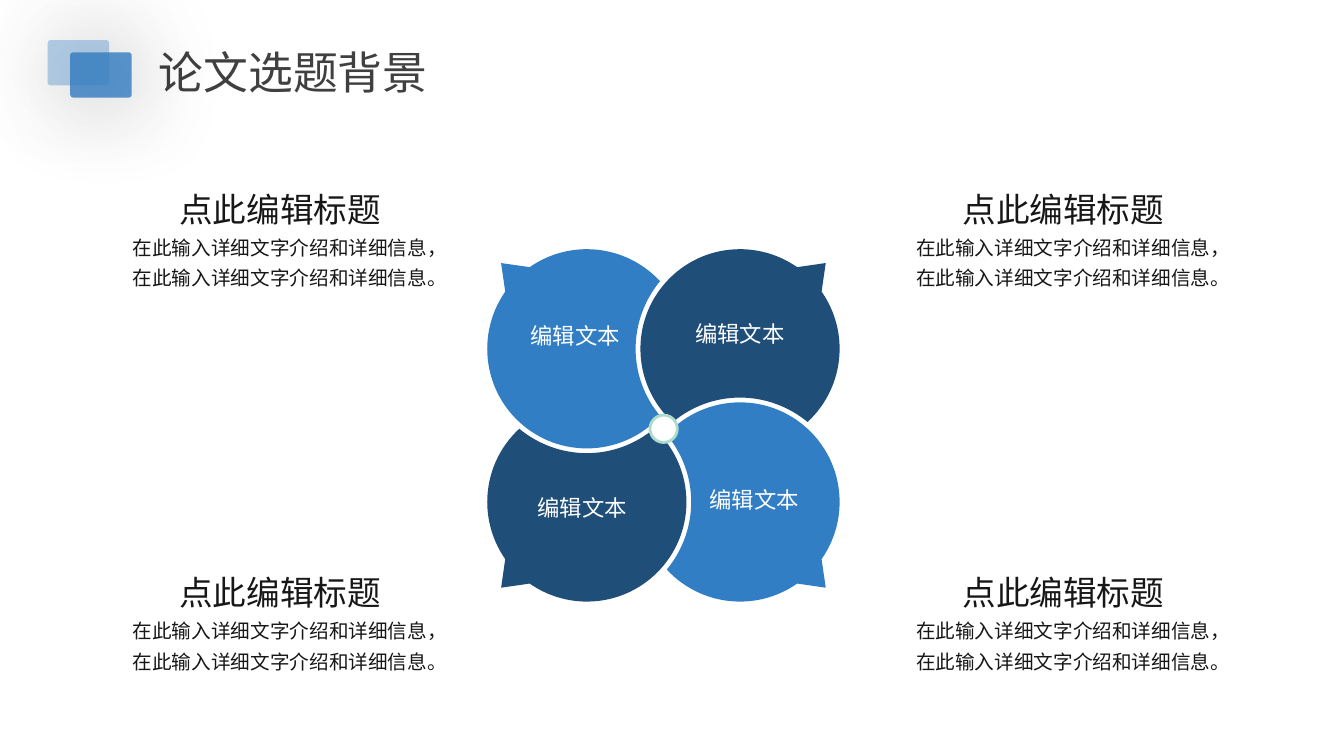
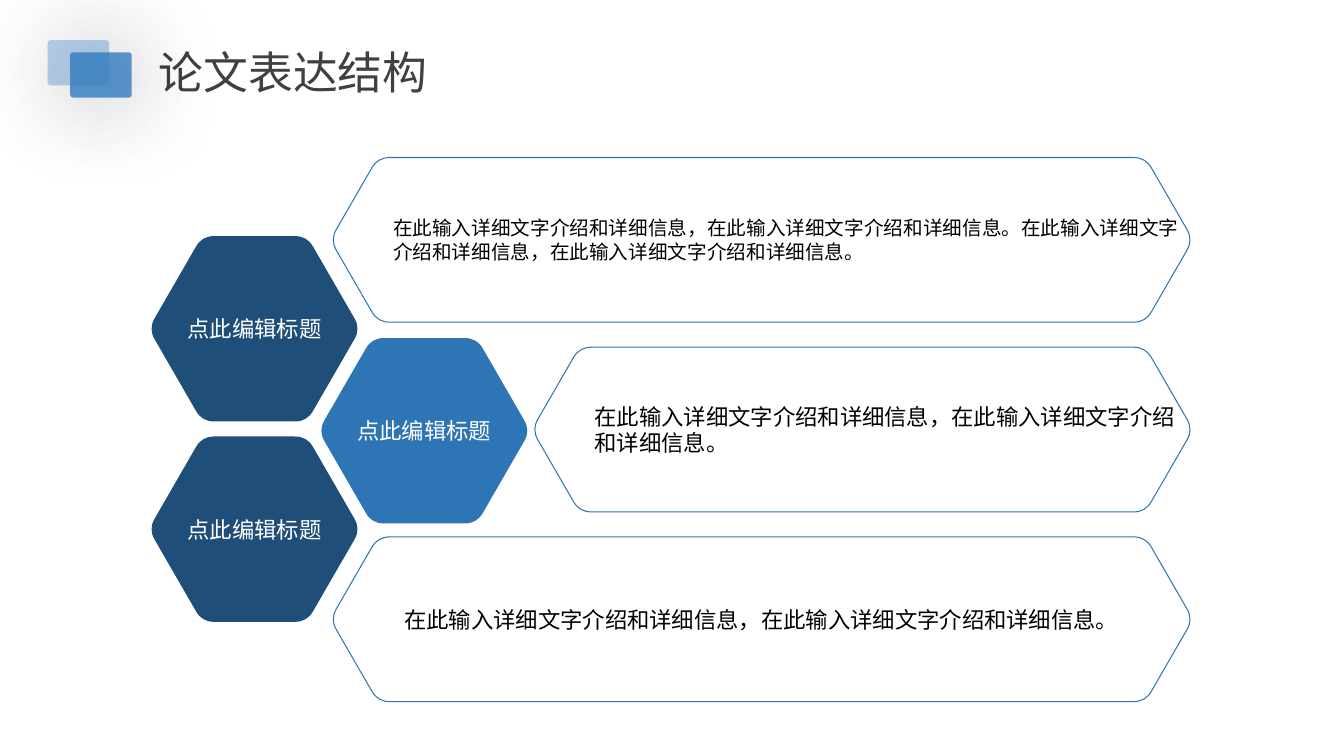
import math

from lxml import etree
from pptx import Presentation
from pptx.dml.color import RGBColor
from pptx.enum import shapes, text
from pptx.oxml import ns
from pptx.util import Cm, Pt

FONT = "Noto Sans CJK SC"
COLORS = {
    "blue": "327EC4",
    "mid": "2E75B6",
    "navy": "1F4E79",
    "ring": "ADDCCC",
    "title": "404040",
    "ink": "181717",
    "black": "000000",
    "white": "FFFFFF",
}
HEADING = "点此编辑标题"
SENTENCE = "在此输入详细文字介绍和详细信息，在此输入详细文字介绍和详细信息。"
CORNER = 0.3


def rgb(name):
    return RGBColor.from_string(COLORS[name])


def sub(parent, tag, **attributes):
    return etree.SubElement(parent, ns.qn(tag), {k: str(v) for k, v in attributes.items()})


def write(frame, words, size=16, color="black", align=text.PP_ALIGN.LEFT, spacing=None):
    last = frame.paragraphs[-1]
    paragraph = frame.add_paragraph() if last.runs else last
    paragraph.alignment = align
    if spacing:
        paragraph.line_spacing = spacing
    run = paragraph.add_run()
    run.text = words
    run.font.size = Pt(size)
    run.font.name = FONT
    run.font.color.rgb = rgb(color)
    sub(run.font._element, "a:ea", typeface=FONT)


def text_frame(slide, left, top, width, height, inset=None):
    frame = slide.shapes.add_textbox(Cm(left), Cm(top), Cm(width), Cm(height)).text_frame
    frame.word_wrap = True
    if inset is not None:
        frame.margin_left = frame.margin_right = Cm(inset)
        frame.margin_top = frame.margin_bottom = Cm(inset)
    return frame


def paint(shape, fill=None, line=None, width=0.75):
    shape.shadow.inherit = False
    if fill:
        shape.fill.solid()
        shape.fill.fore_color.rgb = rgb(fill)
    else:
        shape.fill.background()
    if line:
        shape.line.color.rgb = rgb(line)
        shape.line.width = Pt(width)
    else:
        shape.line.fill.background()


def outline(slide, pieces, **style):
    points = [(Cm(x), Cm(y)) for piece in pieces for x, y in piece]
    builder = slide.shapes.build_freeform(*points[0], scale=1.0)
    builder.add_line_segments(points[1:], close=True)
    shape = builder.convert_to_shape()
    contour = shape._element.find(".//" + ns.qn("a:path"))
    segments = iter(list(contour))
    for piece in pieces:
        segment = next(segments)
        if len(piece) == 3:
            segment.tag = ns.qn("a:cubicBezTo")
            for _ in range(2):
                following = next(segments)
                segment.append(following[0])
                contour.remove(following)
    paint(shape, **style)
    return shape


def arc(x, y, radius, start, end):
    crossed = [a for a in range(-180, 181, 90) if min(start, end) < a < max(start, end)]
    stops = sorted([start, *crossed, end], reverse=start > end)
    curves = []
    for first, last in zip(stops, stops[1:]):
        a, b = math.radians(first), math.radians(last)
        reach = 4 / 3 * math.tan((b - a) / 4)
        unit = [(math.cos(a) - reach * math.sin(a), math.sin(a) + reach * math.cos(a)),
                (math.cos(b) + reach * math.sin(b), math.sin(b) - reach * math.cos(b)),
                (math.cos(b), math.sin(b))]
        curves.append([(x + radius * px, y + radius * py) for px, py in unit])
    return curves


def on_circle(x, y, radius, degrees):
    angle = math.radians(degrees)
    return x + radius * math.cos(angle), y + radius * math.sin(angle)


def title_card(slide, left, top, opacity):
    card = slide.shapes.add_shape(
        shapes.MSO_SHAPE.ROUNDED_RECTANGLE, Cm(left), Cm(top), Cm(1.55), Cm(1.14))
    card.adjustments[0] = 0.066
    paint(card, fill="blue")
    properties = card._element.spPr
    tint = properties.find(ns.qn("a:solidFill"))[0]
    sub(tint, "a:alpha", val=opacity * 1000)
    effects = properties.find(ns.qn("a:effectLst"))
    shadow = sub(effects, "a:outerShdw", blurRad=Pt(70), dist=Pt(3), dir=45 * 60000,
                 algn="tl", rotWithShape=0)
    sub(sub(shadow, "a:srgbClr", val=COLORS["black"]), "a:alpha", val=40000)


def titled_slide(deck, title):
    slide = deck.slides.add_slide(deck.slide_layouts[6])
    write(text_frame(slide, 3.75, 1.0, 9.6, 1.63), title, size=32, color="title")
    title_card(slide, 1.77, 1.32, 80)
    title_card(slide, 1.2, 1.01, 35)
    return slide


def petal(slide, center, quarter_turns, fill):
    offset, radius, gap_radius, tail = 1.93, 2.51, 2.63, 2.16
    pieces = [[on_circle(offset, offset, radius, -137.3)]]
    pieces += arc(offset, offset, radius, -137.3, 35)
    pieces.append([(offset + tail, offset + tail)])
    pieces.append([on_circle(offset, offset, radius, 55)])
    pieces += arc(offset, offset, radius, 55, 137.3)
    pieces += arc(-offset, offset, gap_radius, 40.3, -40.3)
    for _ in range(quarter_turns):
        pieces = [[(-y, x) for x, y in piece] for piece in pieces]
    outline(slide, [[(center[0] + x, center[1] + y) for x, y in piece] for piece in pieces],
            fill=fill)


def toward(start, end, share):
    return [a + (b - a) * share for a, b in zip(start, end)]


def rounded_hexagon(slide, left, top, width, height, **style):
    slant = height / 2 / math.tan(math.radians(60))
    tip = CORNER / 4
    west, east = left - tip, left + width + tip
    middle, bottom = top + height / 2, top + height
    corners = [(west, middle), (west + slant, top), (east - slant, top),
               (east, middle), (east - slant, bottom), (west + slant, bottom)]
    pieces = []
    for i, corner in enumerate(corners):
        before, after = [toward(corner, other, CORNER / math.dist(corner, other))
                         for other in (corners[i - 1], corners[(i + 1) % 6])]
        pieces.append([before])
        pieces.append([toward(before, corner, 2 / 3), toward(after, corner, 2 / 3), after])
    shape = outline(slide, pieces, **style)
    frame = shape.text_frame
    frame.word_wrap = True
    frame.vertical_anchor = text.MSO_ANCHOR.MIDDLE
    return frame


def caption(slide, left, top):
    frame = text_frame(slide, left, top, 8.0, 3.91)
    for words, size in ((HEADING, 24), (SENTENCE, 14)):
        write(frame, words, size=size, color="ink", align=text.PP_ALIGN.CENTER, spacing=1.3)


def background_slide(deck):
    slide = titled_slide(deck, "论文选题背景")
    center = (16.72, 10.72)
    for turns in range(4):
        petal(slide, center, turns, ("blue", "navy")[turns % 2])
    hub = slide.shapes.add_shape(
        shapes.MSO_SHAPE.OVAL, Cm(16.38), Cm(10.46), Cm(0.69), Cm(0.69))
    paint(hub, fill="white", line="ring", width=2)
    for left, top in ((13.1, 8.13), (17.25, 8.07), (13.27, 12.45), (17.61, 12.25)):
        write(text_frame(slide, left, top, 2.8, 0.69, inset=0), "编辑文本",
              color="white", align=text.PP_ALIGN.CENTER)
    for left in (3.06, 22.8):
        for top in (4.32, 13.98):
            caption(slide, left, top)


def structure_slide(deck):
    slide = titled_slide(deck, "论文表达结构")
    for left, top, fill in ((3.82, 5.95, "navy"), (8.1, 8.52, "mid"), (3.82, 11.0, "navy")):
        frame = rounded_hexagon(slide, left, top, 5.19, 4.67, fill=fill)
        write(frame, HEADING, color="white", align=text.PP_ALIGN.CENTER)
    right = 29.99
    bars = (
        (8.4, SENTENCE * 2, 14, text.PP_ALIGN.LEFT),
        (13.48, SENTENCE, 16, text.PP_ALIGN.LEFT),
        (8.4, SENTENCE, 16, text.PP_ALIGN.CENTER),
    )
    for row, (left, words, size, align) in enumerate(bars):
        frame = rounded_hexagon(slide, left, 3.97 + 4.78 * row, right - left, 4.15, line="mid")
        if align == text.PP_ALIGN.LEFT:
            frame.margin_left = Cm(1.53)
        write(frame, words, size=size, align=align)


def main():
    deck = Presentation()
    deck.slide_width, deck.slide_height = Cm(33.87), Cm(19.05)
    background_slide(deck)
    structure_slide(deck)
    deck.save("out.pptx")


if __name__ == "__main__":
    main()
